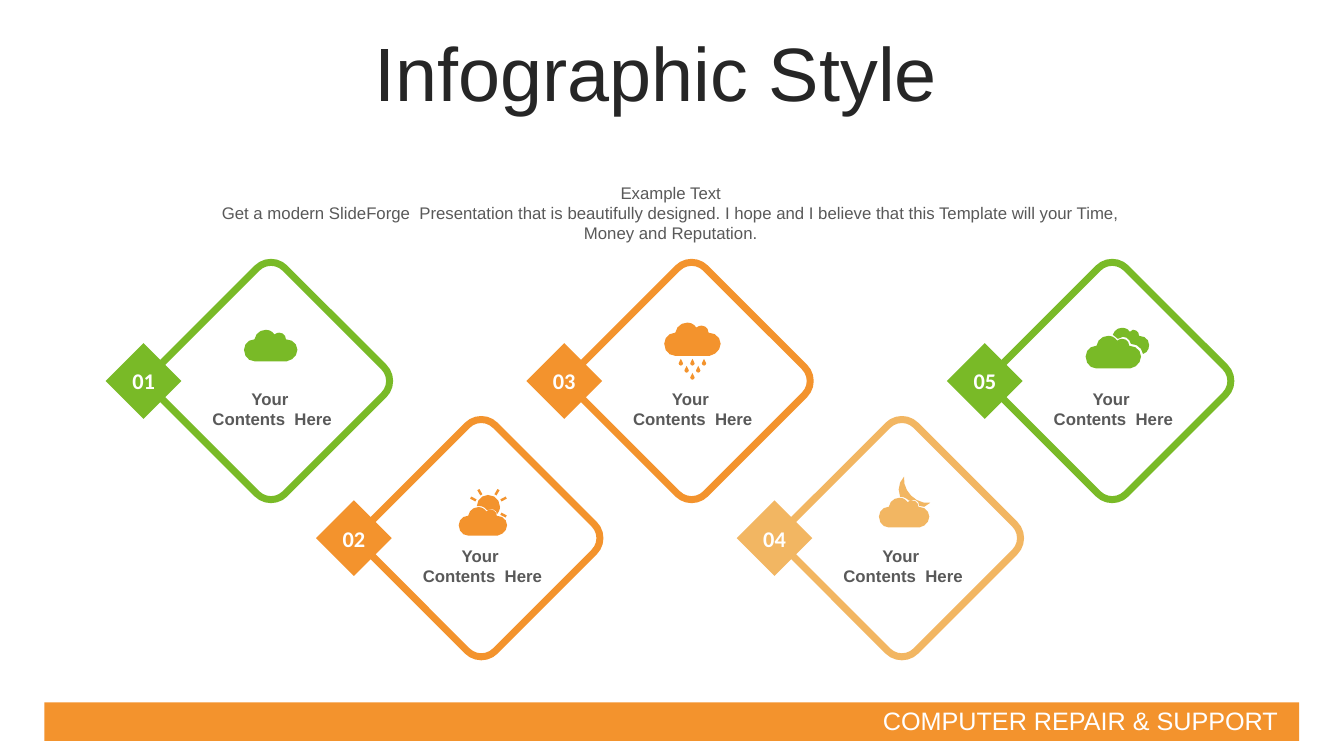
from math import cos, radians, sin

from pptx import Presentation
from pptx.dml.color import RGBColor
from pptx.enum.shapes import MSO_SHAPE
from pptx.enum.text import MSO_ANCHOR, PP_ALIGN
from pptx.util import Cm, Pt

GREEN = RGBColor(0x79, 0xBA, 0x27)
ORANGE = RGBColor(0xF3, 0x93, 0x2D)
SAND = RGBColor(0xF2, 0xB6, 0x62)
WHITE = RGBColor(0xFF, 0xFF, 0xFF)
DARK = RGBColor(0x26, 0x26, 0x26)
GREY = RGBColor(0x59, 0x59, 0x59)

TITLE = "Infographic Style"
INTRO = [
    "Example Text",
    "Get a modern SlideForge  Presentation that is beautifully designed. I hope and "
    "I believe that this Template will your Time, Money and Reputation.",
]
FOOTER = "COMPUTER REPAIR & SUPPORT"
LABEL = ["Your ", "Contents  Here"]

# Number, colour, icon name, icon left and top in cm
CARDS = [
    ("01", GREEN, "cloud", 6.15, 8.31),
    ("02", ORANGE, "sun", 11.56, 12.27),
    ("03", ORANGE, "rain", 16.74, 8.13),
    ("04", SAND, "moon", 22.15, 12.01),
    ("05", GREEN, "clouds", 27.36, 8.26),
]

# Icon outlines: a start point, then Bezier steps (x1, y1, x2, y2, x, y) or lines (x, y)
ICON_GRID = Cm(2.54) / 100
CLOUD_WIDTH = 56
CLOUD = [
    (23, 0), (27, 0, 30, 2, 32, 5), (33, 4, 35, 3, 37, 3), (41, 3, 44, 6, 44, 10),
    (51, 10, 56, 15, 56, 21), (56, 27, 51, 32, 45, 33), (11, 33),
    (5, 33, 0, 28, 0, 21), (0, 15, 5, 10, 11, 10), (12, 4, 17, 0, 23, 0),
]
BACK_CLOUD = [
    (36, 0), (39, 0, 42, 1, 44, 4), (47, 2), (51, 2, 53, 5, 53, 8),
    (59, 8, 63, 12, 63, 17), (63, 21, 61, 25, 57, 26), (56, 20, 51, 16, 45, 16),
    (44, 12, 41, 9, 37, 9), (32, 11), (27, 7), (28, 3, 32, 0, 36, 0),
]
SUN = [
    (29, 8), (36, 8, 41, 13, 41, 20), (41, 22, 40, 25, 38, 27),
    (38, 24, 35, 22, 32, 22), (28, 23), (26, 20, 23, 19, 20, 19),
    (18, 19), (18, 13, 23, 8, 29, 8),
]
SUN_CENTER = (29.5, 20)
RAY_ANGLES = (28, -28, -60, -120, -152)
MOON = [
    (25, 0), (24, 7, 27, 14, 32, 19), (37, 24, 44, 27, 51, 26), (45, 30), (40, 29),
    (40, 25, 37, 23, 34, 23), (30, 24), (28, 22, 25, 20, 21, 20),
    (18, 13, 20, 5, 25, 0),
]
DROP = [(0, 0), (1.5, 3), (2.2, 4.5), (1.5, 6), (0, 6.7), (-1.5, 6), (-2.2, 4.5),
        (-1.5, 3)]


def flatten(outline, left=0, top=0, scale=1, samples=3):
    """Turn an outline with Bezier steps into a list of points."""
    points = [outline[0]]
    for step in outline[1:]:
        if len(step) == 2:
            points.append(step)
            continue
        controls = [points[-1], step[:2], step[2:4], step[4:]]
        for sample in range(1, samples + 1):
            t = sample / samples
            weights = ((1 - t) ** 3, 3 * t * (1 - t) ** 2, 3 * t * t * (1 - t), t ** 3)
            points.append(tuple(sum(weight * control[axis]
                                    for weight, control in zip(weights, controls))
                                for axis in (0, 1)))
    return [(left + x * scale, top + y * scale) for x, y in points]


def cloud(top, width):
    return flatten(CLOUD, 0, top, width / CLOUD_WIDTH)


def ray(angle):
    across, down = cos(radians(angle)), sin(radians(angle))
    corners = ((14, -1.2), (20, -1.2), (20, 1.2), (14, 1.2))
    return [(SUN_CENTER[0] + along * across - side * down,
             SUN_CENTER[1] + along * down + side * across) for along, side in corners]


DROPS = [flatten(DROP, 28 + 11.5 * (index - (count - 1) / 2), 36 + 7 * row)
         for row, count in enumerate((3, 2, 1)) for index in range(count)]
ICONS = {
    "cloud": [cloud(0, 53)],
    "sun": [cloud(20, 48), flatten(SUN)] + [ray(angle) for angle in RAY_ANGLES],
    "rain": [cloud(0, 56)] + DROPS,
    "moon": [cloud(21, 50), flatten(MOON)],
    "clouds": [cloud(8, 55), flatten(BACK_CLOUD)],
}


def paint(shape, fill, line=None):
    shape.shadow.inherit = False
    shape.fill.solid()
    shape.fill.fore_color.rgb = fill
    if line is None:
        shape.line.fill.background()
    else:
        shape.line.color.rgb = line
        shape.line.width = Pt(5)


def write(shape, lines, size, color, align=PP_ALIGN.CENTER, anchor=MSO_ANCHOR.TOP,
          name="Arial", bold=False, spacing=None):
    frame = shape.text_frame
    frame.word_wrap = True
    frame.vertical_anchor = anchor
    frame.text = "\n".join(lines)
    for paragraph in frame.paragraphs:
        paragraph.alignment = align
        paragraph.line_spacing = spacing
        font_format = {"name": name, "size": Pt(size), "bold": bold}
        for attribute, value in font_format.items():
            setattr(paragraph.font, attribute, value)
        paragraph.font.color.rgb = color


def add_text(slide, box, lines, size, color, **options):
    shape = slide.shapes.add_textbox(*(Cm(length) for length in box))
    write(shape, lines, size, color, **options)


def add_diamond(slide, kind, center_x, center_y, side, fill, line=None):
    shape = slide.shapes.add_shape(kind, Cm(center_x - side / 2), Cm(center_y - side / 2),
                                   Cm(side), Cm(side))
    shape.rotation = 315
    paint(shape, fill, line)
    return shape


def add_icon(slide, contours, left, top, color):
    placed = [[(Cm(left) + x * ICON_GRID, Cm(top) + y * ICON_GRID) for x, y in contour]
              for contour in contours]
    builder = slide.shapes.build_freeform(*placed[0][0])
    builder.add_line_segments(placed[0][1:])
    for contour in placed[1:]:
        builder.move_to(*contour[0])
        builder.add_line_segments(contour[1:])
    paint(builder.convert_to_shape(), color)


def add_card(slide, index, number, color, icon, icon_left, icon_top):
    center_x = 6.83 + 5.3 * index
    center_y = 9.6 + 3.96 * (index % 2)
    badge_x = center_x - 3.21
    frame = add_diamond(slide, MSO_SHAPE.ROUNDED_RECTANGLE, center_x, center_y, 4.52,
                        WHITE, color)
    frame.adjustments[0] = 0.11
    add_diamond(slide, MSO_SHAPE.RECTANGLE, badge_x, center_y, 1.35, color)
    add_text(slide, (badge_x - 0.66, center_y - 0.47, 1.32, 0.94), [number], 16, WHITE,
             anchor=MSO_ANCHOR.MIDDLE, name="Calibri", bold=True)
    add_text(slide, (center_x - 2.04, center_y + 0.06, 4.14, 1.27), LABEL, 12, GREY,
             bold=True)
    add_icon(slide, ICONS[icon], icon_left, icon_top, color)


def main():
    presentation = Presentation()
    presentation.slide_width = Cm(33.87)
    presentation.slide_height = Cm(19.05)
    slide = presentation.slides.add_slide(presentation.slide_layouts[5])

    footer_bar = slide.shapes.add_shape(MSO_SHAPE.RECTANGLE, Cm(1.12), Cm(17.7),
                                        Cm(31.62), Cm(0.97))
    paint(footer_bar, ORANGE)
    add_text(slide, (22, 17.65, 10.74, 1.02), [FOOTER], 18, WHITE,
             align=PP_ALIGN.LEFT, anchor=MSO_ANCHOR.MIDDLE)

    title = slide.shapes.title
    title_box = {"left": 0, "top": 0.94, "width": 33.05, "height": 2.01}
    for attribute, length in title_box.items():
        setattr(title, attribute, Cm(length))
    write(title, [TITLE], 54, DARK, anchor=MSO_ANCHOR.MIDDLE, spacing=0.9)

    add_text(slide, (4.75, 4.47, 24.31, 1.8), INTRO, 12, GREY)
    for index, card in enumerate(CARDS):
        add_card(slide, index, *card)
    presentation.save("out.pptx")


if __name__ == "__main__":
    main()
